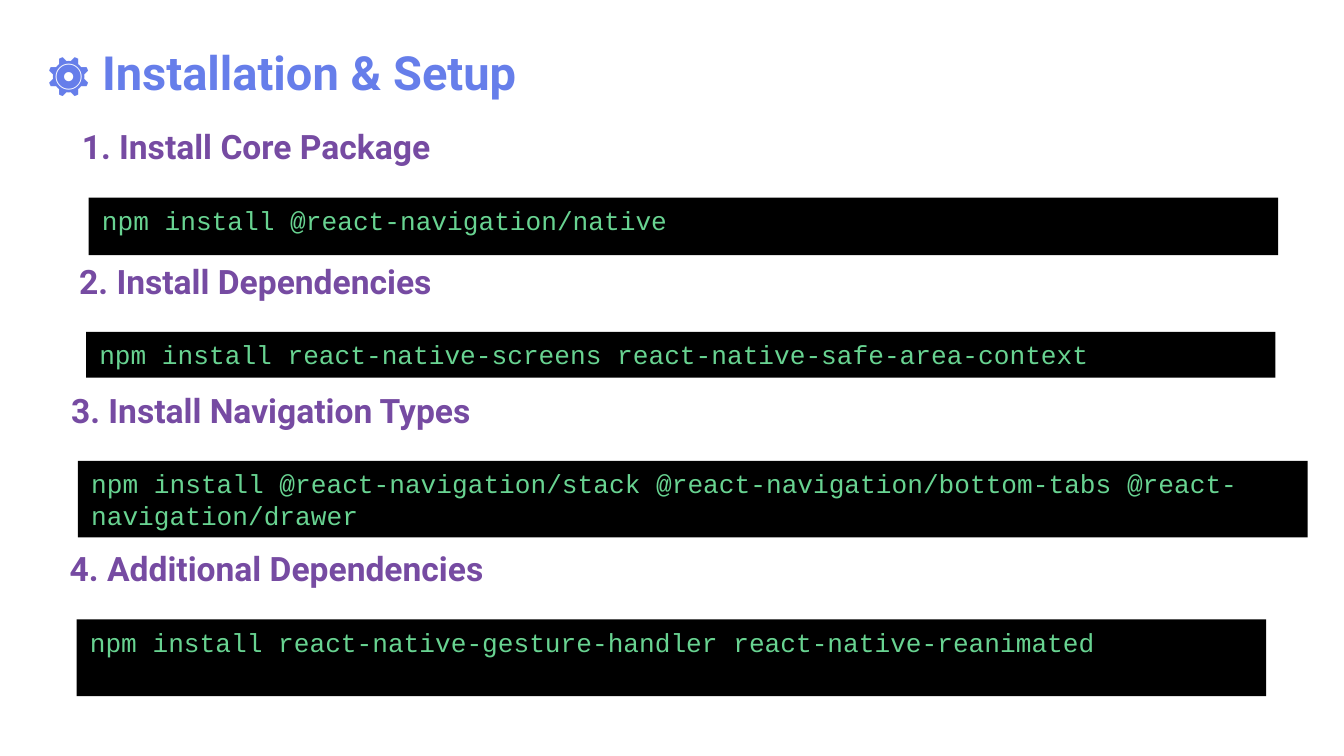
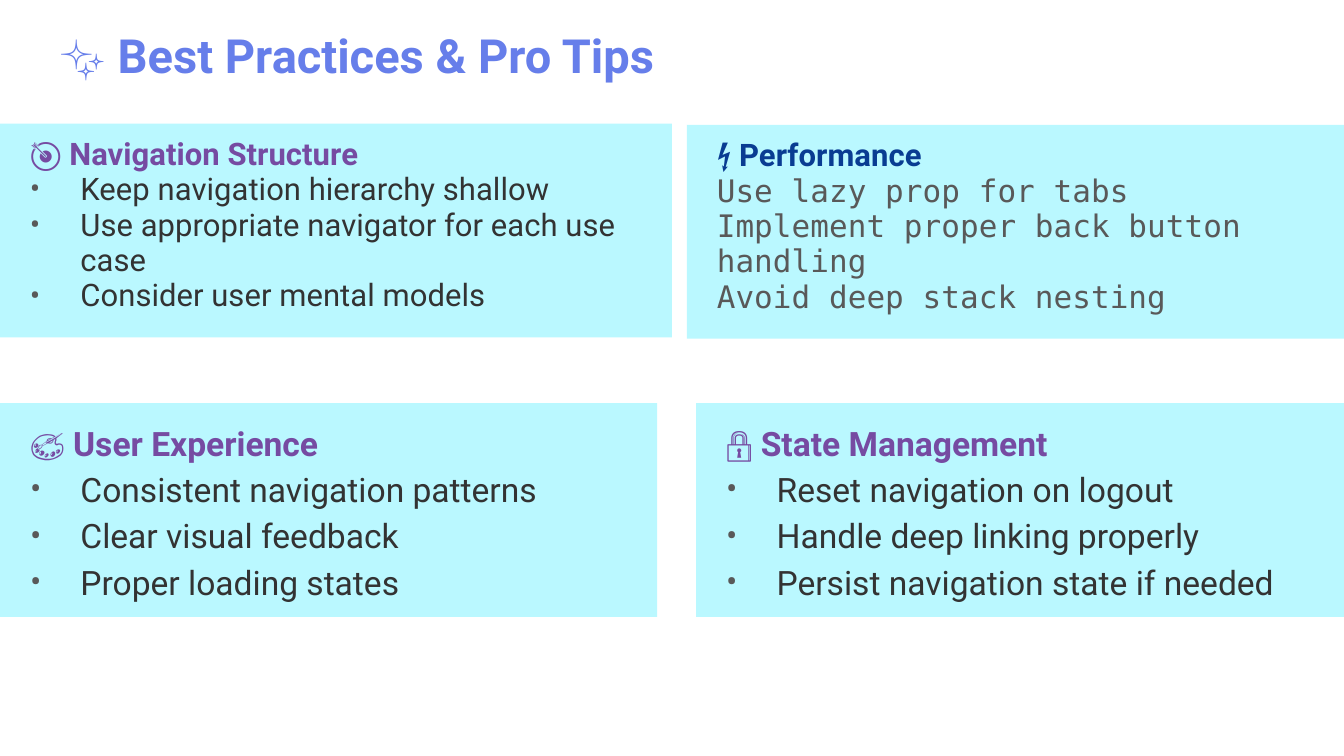
from dataclasses import dataclass

from lxml import etree
from pptx import Presentation
from pptx.dml.color import RGBColor
from pptx.enum import shapes, text
from pptx.oxml import ns
from pptx.util import Inches, Pt


@dataclass(frozen=True)
class Theme:
    sans: str = "Roboto"
    code: str = "Courier New"
    mono: str = "DejaVu Sans Mono"
    blue: str = "667EEA"
    purple: str = "764BA2"
    navy: str = "093C92"
    ink: str = "333333"
    gray: str = "595959"
    green: str = "68D391"
    black: str = "000000"
    cyan: str = "BAF8FF"
    title: float = 25.2
    head: float = 18
    small: float = 16.65
    shell: float = 14


class Deck:
    def __init__(self, theme):
        self.theme = theme
        self.prs = Presentation()
        self.prs.slide_width = Inches(10)
        self.prs.slide_height = Inches(10) * 9 // 16
        self.slide = None

    def page(self, title, left, top):
        t = self.theme
        self.slide = self.prs.slides.add_slide(self.prs.slide_layouts[6])
        self.label(title, (left, top, 9.32, 0.63), t.title, t.blue)

    def frame(self, shape, inset):
        """Prepare a shape's text frame: wrapped, top aligned, even insets."""
        body = shape.text_frame
        body.word_wrap = True
        body.vertical_anchor = text.MSO_ANCHOR.TOP
        body.margin_left = body.margin_right = Inches(0.1)
        body.margin_top = body.margin_bottom = Inches(inset)
        return body

    def run(self, para, words, size, color, font, bold=False):
        para.alignment = text.PP_ALIGN.LEFT
        run = para.add_run()
        run.text = words
        run.font.size = Pt(size)
        run.font.name = font
        run.font.bold = bold
        run.font.color.rgb = RGBColor.from_string(color)

    def label(self, words, box, size, color):
        shape = self.slide.shapes.add_textbox(*map(Inches, box))
        para = self.frame(shape, 0.1).paragraphs[0]
        self.run(para, words, size, color, self.theme.sans, True)

    def panel(self, box, fill, inset):
        shape = self.slide.shapes.add_shape(
            shapes.MSO_SHAPE.RECTANGLE, *map(Inches, box))
        shape.shadow.inherit = False
        shape.fill.solid()
        shape.fill.fore_color.rgb = RGBColor.from_string(fill)
        shape.line.fill.background()
        return self.frame(shape, inset)

    def shell(self, words, box):
        t = self.theme
        para = self.panel(box, t.black, 0.05).paragraphs[0]
        self.run(para, words, t.shell, t.green, t.code)

    def indent(self, para, bullet):
        props = para._p.get_or_add_pPr()
        left, first = (36, -27) if bullet else (9, 0)
        props.set("marL", str(Pt(left)))
        props.set("indent", str(Pt(first)))
        if bullet:
            color = etree.SubElement(props, ns.qn("a:buClr"))
            etree.SubElement(color, ns.qn("a:srgbClr"), val=self.theme.gray)
            etree.SubElement(props, ns.qn("a:buFont"),
                             typeface=self.theme.sans)
            etree.SubElement(props, ns.qn("a:buChar"), char="•")

    def card(self, box, head, items, size, space, color, plain=False):
        """Draw a tinted card; plain cards list monospaced lines, no bullets."""
        t = self.theme
        body = self.panel(box, t.cyan, 0.1)
        para = body.paragraphs[0]
        self.indent(para, False)
        para.line_spacing = space
        self.run(para, head, size, color, t.sans, True)
        tone, font = (t.gray, t.mono) if plain else (t.ink, t.sans)
        for item in items:
            para = body.add_paragraph()
            self.indent(para, not plain)
            para.line_spacing = space
            self.run(para, item, size, tone, font)


def setup(deck):
    t = deck.theme
    deck.page("⚙️ Installation & Setup", 0.25, 0.22)
    # heading, command, heading left, top, height, command width, height
    steps = [
        ("Install Core Package", "@react-navigation/native",
         0.51, 0.84, 0.5, 8.85, 0.43),
        ("Install Dependencies",
         "react-native-screens react-native-safe-area-context",
         0.49, 1.84, 0.81, 8.85, 0.34),
        ("Install Navigation Types",
         "@react-navigation/stack @react-navigation/bottom-tabs "
         "@react-navigation/drawer",
         0.43, 2.8, 0.81, 9.15, 0.57),
        ("Additional Dependencies",
         "react-native-gesture-handler react-native-reanimated",
         0.42, 3.98, 0.81, 8.85, 0.57),
    ]
    for num, (head, names, left, top, tall, wide, high) in enumerate(steps, 1):
        deck.label(f"{num}. {head}", (left, top, 6.11, tall), t.head, t.purple)
        deck.shell(f"npm install {names}",
                   (left + 0.15, top + 0.63, wide, high))


def tips(deck):
    t = deck.theme
    deck.page("✨ Best Practices & Pro Tips", 0.34, 0.1)
    upper, lower = (t.small, 0.95), (t.head, 1.15)
    high = 1.59
    deck.card((0, 0.92, 5, high), "🎯 Navigation Structure",
              ["Keep navigation hierarchy shallow",
               "Use appropriate navigator for each use case",
               "Consider user mental models"], *upper, t.purple)
    deck.card((5.18, 3, 4.82, high), "🔒 State Management",
              ["Reset navigation on logout",
               "Handle deep linking properly",
               "Persist navigation state if needed"], *lower, t.purple)
    deck.card((0, 3, 4.89, high), "🎨 User Experience",
              ["Consistent navigation patterns",
               "Clear visual feedback",
               "Proper loading states"], *lower, t.purple)
    deck.card((5.11, 0.93, 4.89, high), "⚡ Performance",
              ["Use lazy prop for tabs",
               "Implement proper back button handling",
               "Avoid deep stack nesting"], *upper, t.navy, plain=True)


def main():
    deck = Deck(Theme())
    setup(deck)
    tips(deck)
    deck.prs.save("out.pptx")


if __name__ == "__main__":
    main()
